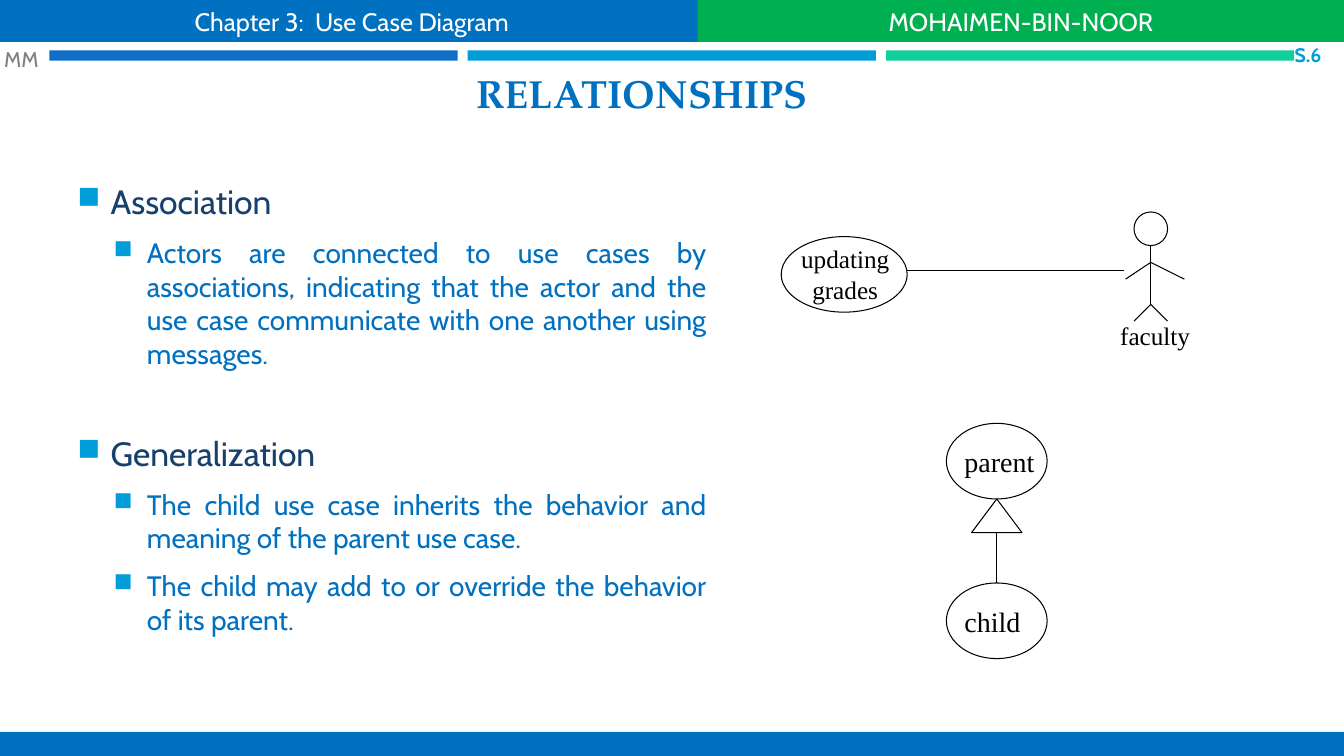
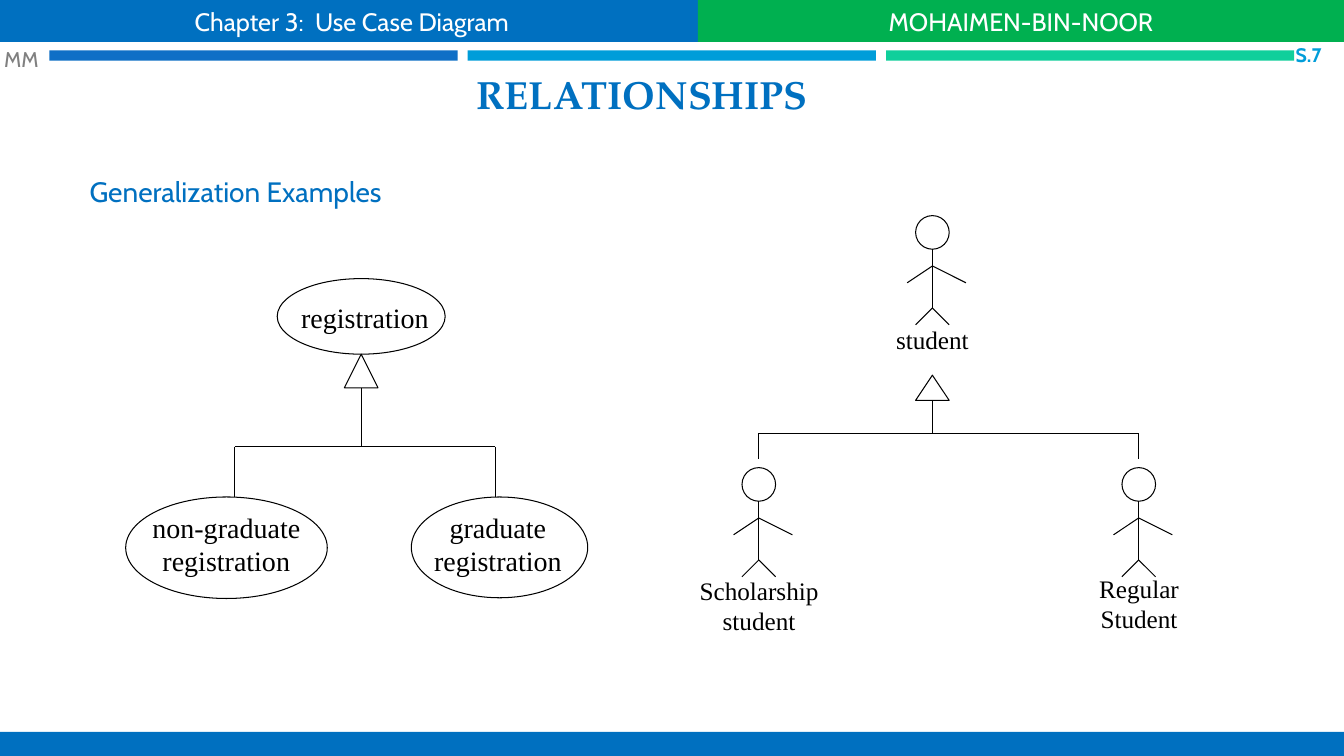
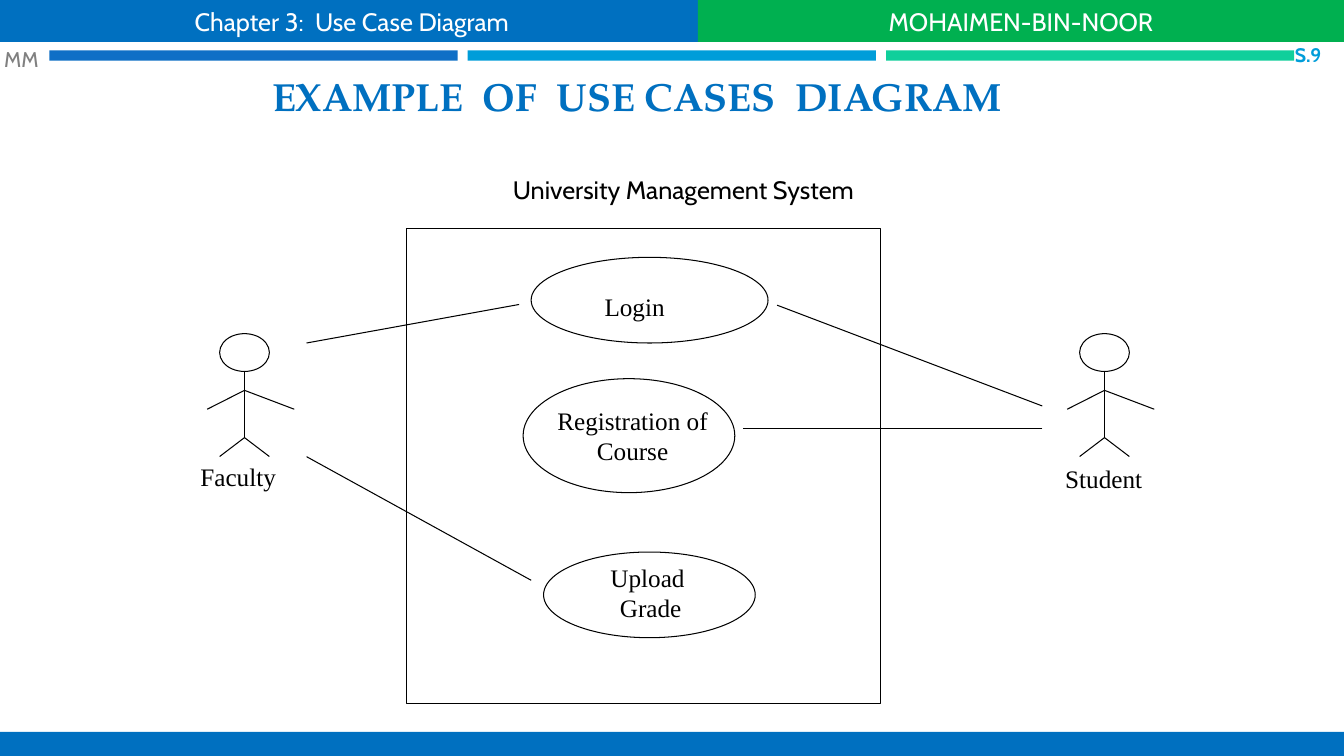
from dataclasses import dataclass

from lxml.etree import SubElement
from pptx import Presentation
from pptx.dml.color import RGBColor
from pptx.enum.shapes import MSO_CONNECTOR, MSO_SHAPE
from pptx.enum.text import MSO_ANCHOR, MSO_AUTO_SIZE, PP_ALIGN
from pptx.oxml.ns import qn
from pptx.util import Pt


@dataclass(frozen=True)
class Theme:
    """Colours, fonts and type sizes of the presentation."""

    blue: str = "0070C0"
    green: str = "00B050"
    navy: str = "17406D"
    sky: str = "009DD9"
    gray: str = "808080"
    white: str = "FFFFFF"
    black: str = "000000"
    stripes: tuple = ("0F6FC6", "009DD9", "10CF9B")
    text_font: str = "Cabin"
    title_font: str = "TeX Gyre Pagella"
    diagram_font: str = "Times New Roman"
    title: float = 28
    heading: float = 24
    body: float = 20
    label: float = 18
    mark: float = 15.2
    number: float = 14
    line: float = 0.75


THEME = Theme()


def points(values):
    """Turn numbers into lengths in points."""
    return [Pt(value) for value in values]


def write(paragraph, text, font=THEME.text_font, size=THEME.label,
          color=THEME.black, bold=False, align=PP_ALIGN.LEFT):
    """Put formatted text into a paragraph."""
    paragraph.text = text
    paragraph.alignment = align
    for run in paragraph.runs:
        run.font.name = font
        run.font.size = Pt(size)
        run.font.bold = bold
        run.font.color.rgb = RGBColor.from_string(color)


def fill_text(shape, text, anchor=MSO_ANCHOR.TOP, margins=(7.2, 3.6), **text_format):
    """Write one paragraph per line of text into a shape."""
    frame = shape.text_frame
    frame.word_wrap = True
    frame.auto_size = MSO_AUTO_SIZE.NONE
    frame.vertical_anchor = anchor
    frame.margin_left = frame.margin_right = Pt(margins[0])
    frame.margin_top = frame.margin_bottom = Pt(margins[1])
    for index, line in enumerate(text.split("\n")):
        paragraph = frame.add_paragraph() if index else frame.paragraphs[0]
        write(paragraph, line, **text_format)


def add_label(slide, box, text, **text_format):
    """Add a text box."""
    fill_text(slide.shapes.add_textbox(*points(box)), text, **text_format)


def add_diagram_label(slide, box, text, align=PP_ALIGN.CENTER, **text_format):
    """Add a text box in the diagram font."""
    add_label(slide, box, text, font=THEME.diagram_font, align=align, **text_format)


def add_band(slide, box, color, text=""):
    """Add a filled rectangle with optional white text."""
    band = slide.shapes.add_shape(MSO_SHAPE.RECTANGLE, *points(box))
    band.shadow.inherit = False
    band.fill.solid()
    band.fill.fore_color.rgb = RGBColor.from_string(color)
    band.line.fill.background()
    if text:
        fill_text(band, text, anchor=MSO_ANCHOR.MIDDLE, color=THEME.white,
                  align=PP_ALIGN.CENTER)


def draw_outline(line):
    """Give a line the diagram stroke."""
    line.color.rgb = RGBColor.from_string(THEME.black)
    line.width = Pt(THEME.line)


def add_outline(slide, kind, box):
    """Add an unfilled preset shape."""
    shape = slide.shapes.add_shape(kind, *points(box))
    shape.shadow.inherit = False
    shape.fill.background()
    draw_outline(shape.line)
    return shape


def add_line(slide, start, end):
    """Add a straight line between two points."""
    connector = slide.shapes.add_connector(
        MSO_CONNECTOR.STRAIGHT, *points((*start, *end)))
    draw_outline(connector.line)
    SubElement(connector._element.spPr, qn("a:effectLst"))
    return connector


def add_use_case(slide, box, label_box, text, **text_format):
    """Add an ellipse and its label, placed relative to the ellipse."""
    ellipse = add_outline(slide, MSO_SHAPE.OVAL, box)
    left, top, width, height = label_box
    add_diagram_label(slide, (box[0] + left, box[1] + top, width, height),
                      text, **text_format)
    return ellipse


def add_actor(slide, box, label_box, text, **text_format):
    """Add a stick figure on a 7 by 13 grid, with its label relative to it."""
    left, top, width, height = box
    column, row = width / 7, height / 13

    def at(x, y):
        """Locate a grid point."""
        return left + x * column, top + y * row

    add_outline(slide, MSO_SHAPE.OVAL, (*at(1, 0), 4 * column, 4 * row))
    limbs = (((3, 4), (3, 11)), ((3, 6), (7, 8)), ((3, 6), (0, 8)),
             ((3, 11), (5, 13)), ((3, 11), (1, 13)))
    for start, end in limbs:
        add_line(slide, at(*start), at(*end))
    x, y, label_width, label_height = label_box
    add_diagram_label(slide, (left + x, top + y, label_width, label_height),
                      text, **text_format)


def add_inheritance_arrow(slide, box, stem):
    """Add a hollow triangle with a stem below it."""
    left, top, width, height = box
    add_outline(slide, MSO_SHAPE.ISOSCELES_TRIANGLE, box)
    middle, base = left + width / 2, top + height
    return add_line(slide, (middle, base), (middle, base + stem))


def add_fork(slide, box):
    """Add a bar with a branch down from each end."""
    left, top, width, height = box
    right = left + width
    add_line(slide, (left, top), (right, top))
    for x in (left, right):
        add_line(slide, (x, top), (x, top + height))


def add_bullet(paragraph, indent):
    """Give a paragraph a square bullet with a hanging indent."""
    properties = paragraph._p.get_or_add_pPr()
    properties.set("marL", str(Pt(indent)))
    properties.set("indent", str(-Pt(23.8)))
    color = SubElement(properties, qn("a:buClr"))
    SubElement(color, qn("a:srgbClr"), val=THEME.sky)
    SubElement(properties, qn("a:buSzPct"), val="92000")
    SubElement(properties, qn("a:buChar"), char="■")


def add_outline_text(slide, box, sections):
    """Add headings with justified points under them."""
    frame = slide.shapes.add_textbox(*points(box)).text_frame
    frame.word_wrap = True
    heading_gap = 0
    paragraph = frame.paragraphs[0]
    for heading, items in sections:
        if heading_gap:
            paragraph = frame.add_paragraph()
        add_bullet(paragraph, 23.8)
        write(paragraph, heading, size=THEME.heading, color=THEME.navy)
        paragraph.space_before, paragraph.space_after = Pt(heading_gap), Pt(6)
        heading_gap = 38.8
        for item in items:
            paragraph = frame.add_paragraph()
            paragraph.level = 1
            add_bullet(paragraph, 49.7)
            write(paragraph, item, size=THEME.body, color=THEME.blue,
                  align=PP_ALIGN.JUSTIFY)
            paragraph.space_before, paragraph.space_after = Pt(4), Pt(6)


def add_framed_slide(presentation, title, title_box, number):
    """Add a slide with its title, bands, stripes and number."""
    slide = presentation.slides.add_slide(presentation.slide_layouts[5])
    for index, color in enumerate(THEME.stripes):
        add_band(slide, (35.3 + index * 298.8, 36, 291.6, 7.4), color)
    add_band(slide, (0, 522.7, 960, 17.3), THEME.blue)
    add_band(slide, (0, 0, 502.5, 30), THEME.blue, "Chapter 3:  Use Case Diagram")
    add_band(slide, (498.5, 0, 461.5, 30), THEME.green, "MOHAIMEN-BIN-NOOR")
    heading = slide.shapes.title
    heading.left, heading.top, heading.width, heading.height = points(title_box)
    fill_text(heading, title, anchor=MSO_ANCHOR.BOTTOM, font=THEME.title_font,
              size=THEME.title, color=THEME.blue, bold=True, align=PP_ALIGN.CENTER)
    add_label(slide, (0, 31, 40, 21.6), "MM", anchor=MSO_ANCHOR.MIDDLE,
              margins=(3, 0), size=THEME.mark, color=THEME.gray)
    add_label(slide, (912, 31, 32, 16), f"S.{number}", anchor=MSO_ANCHOR.MIDDLE,
              margins=(0, 0), size=THEME.number, color=THEME.sky, bold=True,
              align=PP_ALIGN.RIGHT)
    return slide


def build_relationships(presentation):
    """Build the slide on association and generalization."""
    slide = add_framed_slide(presentation, "RELATIONSHIPS",
                             (24.5, 44.6, 868.3, 42.5), 6)
    add_outline_text(slide, (48.2, 126, 463.7, 356.4), (
        ("Association", (
            "Actors are connected to use cases by associations, indicating that "
            "the actor and the use case communicate with one another using "
            "messages.",)),
        ("Generalization", (
            "The child use case inherits the behavior and meaning of the parent "
            "use case.",
            "The child may add to or override the behavior of its parent."))))
    add_use_case(slide, (558, 169, 90, 54), (4.3, 1.6, 82.8, 50.4),
                 "updating\ngrades")
    add_actor(slide, (804, 151.4, 42, 78), (-12, 74, 66.2, 28.8), "faculty")
    add_line(slide, (803, 193.5), (648, 193.5))
    family_format = {"size": THEME.body, "align": PP_ALIGN.LEFT}
    parent_box, child_box = (676, 302.4, 72, 54), (676, 416.4, 72, 54)
    label_box = (5.8, 11.8, 66.2, 31)
    add_use_case(slide, parent_box, label_box, "parent", **family_format)
    child = add_use_case(slide, child_box, label_box, "child", **family_format)
    stem = add_inheritance_arrow(slide, (694, 356.4, 36, 24), 36)
    stem.end_connect(child, 0)


def build_generalization_examples(presentation):
    """Build the slide with use case and actor hierarchies."""
    slide = add_framed_slide(presentation, "RELATIONSHIPS",
                             (24.5, 43.2, 868.3, 44.6), 7)
    add_label(slide, (56.9, 121, 835.2, 31.7), "Generalization Examples",
              size=THEME.body, color=THEME.blue)

    add_use_case(slide, (198, 199, 120, 54), (10, 12, 110.2, 31), "registration",
                 size=THEME.body, align=PP_ALIGN.LEFT)
    add_inheritance_arrow(slide, (246, 253, 24, 24), 42)
    add_fork(slide, (167.8, 319, 186, 36))
    add_use_case(slide, (89.8, 355, 144, 72.5), (6, 5.8, 131.8, 55.4),
                 "non-graduate\nregistration", size=THEME.body)
    add_use_case(slide, (293.8, 355, 126, 72), (4.3, 5.8, 115.2, 55.4),
                 "graduate\nregistration", size=THEME.body)

    add_actor(slide, (648, 154, 42, 78), (-17.3, 74.2, 70.6, 28.8), "student")
    add_inheritance_arrow(slide, (654, 268, 24, 18), 23.6)
    add_fork(slide, (542, 309.6, 271.4, 18))
    add_actor(slide, (524, 334, 42, 78), (-49.5, 73.5, 135.4, 58.3),
              "Scholarship\nstudent")
    add_actor(slide, (795.4, 334, 42, 78), (-40.8, 72.1, 118.1, 58.3),
              "Regular Student")


def build_university_example(presentation):
    """Build the slide with the university use case diagram."""
    slide = add_framed_slide(presentation, "EXAMPLE  OF  USE CASES  DIAGRAM",
                             (20.9, 46.1, 868.3, 42.5), 9)
    add_label(slide, (359.3, 121, 262.1, 28.8), "University Management System")
    add_outline(slide, MSO_SHAPE.RECTANGLE, (290.2, 163.2, 338.8, 339.1))
    use_cases = (
        ((379.4, 183.8, 169.2, 61.2), (4.4, 20.7, 139, 28.8), "Login"),
        ((373.7, 270.5, 151.2, 81.4), (2.9, 15.3, 150.5, 51.1),
         "Registration of Course"),
        ((388.3, 394.3, 151.2, 61.2), (7, 3.9, 139, 51.1), "Upload \vGrade"))
    for box, label_box, text in use_cases:
        add_use_case(slide, box, label_box, text)
    actors = ((148, (-11.9, 88, 95.8, 28.8), "Faculty"),
              (762.3, (-8.5, 89.4, 89.3, 28.8), "Student"))
    for left, label_box, text in actors:
        add_actor(slide, (left, 238.3, 62.2, 87.8), label_box, text,
                  align=PP_ALIGN.LEFT)
    associations = (((219, 245), (370.8, 217.5)), ((219, 326.2), (379.4, 414.5)),
                    ((744.5, 306), (530.6, 306)), ((744.5, 290), (555.1, 218)))
    for start, end in associations:
        add_line(slide, start, end)


def main():
    """Build and save the presentation."""
    presentation = Presentation()
    presentation.slide_width, presentation.slide_height = Pt(960), Pt(540)
    build_relationships(presentation)
    build_generalization_examples(presentation)
    build_university_example(presentation)
    presentation.save("out.pptx")


if __name__ == "__main__":
    main()
